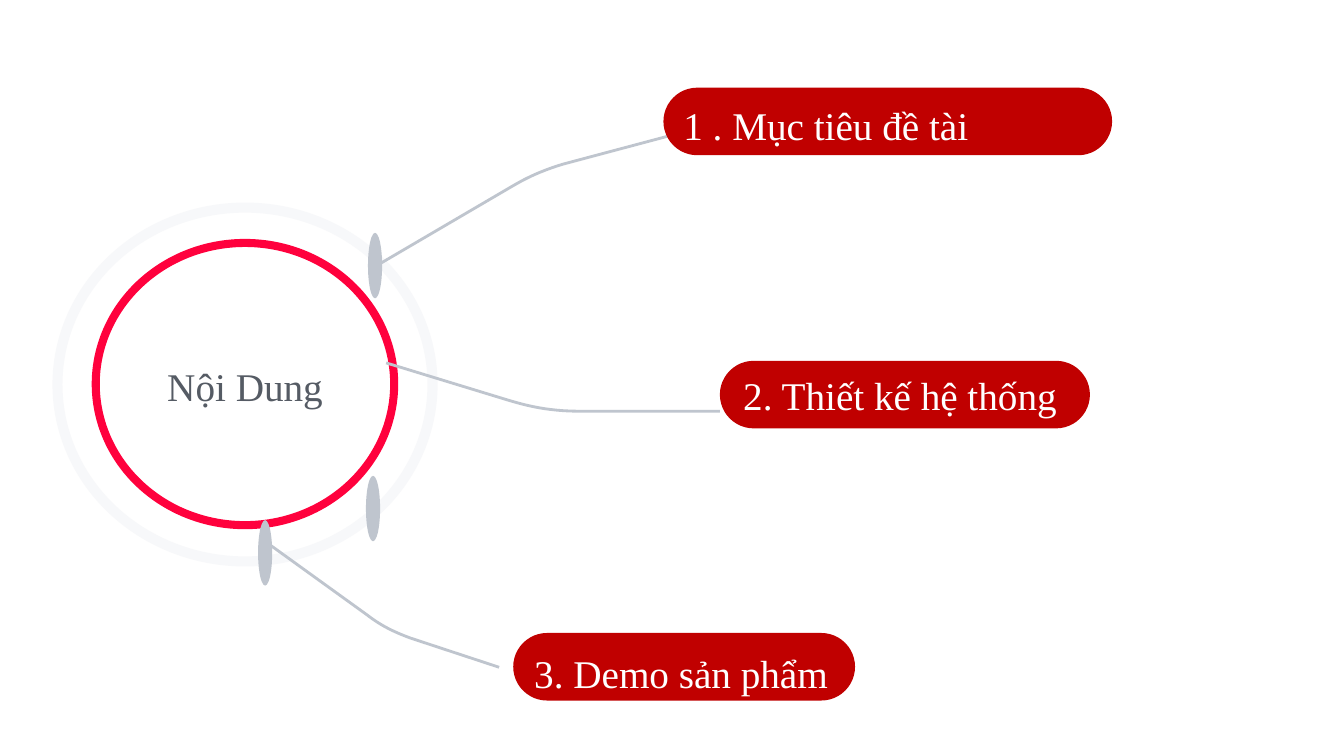
from dataclasses import dataclass
from typing import Optional

from lxml.etree import SubElement
from pptx import Presentation
from pptx.dml.color import RGBColor
from pptx.enum.shapes import MSO_SHAPE
from pptx.enum.text import MSO_ANCHOR, MSO_AUTO_SIZE, PP_ALIGN
from pptx.oxml.ns import qn
from pptx.util import Inches, Pt

FONT = "Times New Roman"
WHITE = RGBColor(0xFF, 0xFF, 0xFF)
RED = RGBColor(0xC0, 0x00, 0x00)
CRIMSON = RGBColor(0xFF, 0x01, 0x3D)
PALE = RGBColor(0xEF, 0xF0, 0xF4)
SILVER = RGBColor(0xBF, 0xC5, 0xCE)
SLATE = RGBColor(0x55, 0x5B, 0x64)

Point = tuple[float, float]
Frame = tuple[float, float, float, float]  # left, top, width, height
PILL_HEIGHT = 0.67
CURVE_STEPS = 12


@dataclass
class Ring:
    frame: Frame
    thickness: float
    color: RGBColor
    opacity: int = 100


@dataclass
class Branch:
    """A topic pill; its text sits in label_frame, or in the pill itself."""
    text: str
    left: float
    top: float
    width: float
    start: Point
    bend: tuple[Point, Point, Point, Point]  # cubic curve
    end: Point
    label_frame: Optional[Frame] = None


RINGS = [
    Ring((0.52, 2.01, 3.82, 3.61), 0.1, PALE, 45),
    Ring((0.91, 2.37, 3.04, 2.88), 0.08, CRIMSON),
]
BRANCHES = [
    Branch("1 . Mục tiêu đề tài", 6.58, 0.87, 4.45, (3.78, 2.61),
           ((5.06, 1.86), (5.18, 1.79), (5.32, 1.71), (5.58, 1.63)),
           (6.63, 1.35), (6.68, 0.96, 5.2, 0.57)),
    Branch("2. Thiết kế hệ thống ", 7.14, 3.58, 3.67, (3.83, 3.6),
           ((5.04, 3.97), (5.21, 4.02), (5.42, 4.08), (5.76, 4.08)),
           (7.14, 4.08)),
    Branch("3. Demo sản phẩm", 5.09, 6.28, 3.39, (2.6, 5.35),
           ((3.64, 6.1), (3.73, 6.17), (3.85, 6.25), (4.07, 6.33)),
           (4.95, 6.62), (5.2, 6.39, 3.88, 0.57)),
]
DOTS = [(3.63, 4.72), (3.65, 2.31), (2.56, 5.16)]


def write(shape, text: str, *, color: RGBColor = WHITE, size: int = 28,
          align=PP_ALIGN.LEFT, anchor=MSO_ANCHOR.TOP,
          inset: Optional[float] = None) -> None:
    frame = shape.text_frame
    frame.word_wrap = True
    frame.auto_size = MSO_AUTO_SIZE.NONE
    frame.vertical_anchor = anchor
    if inset is not None:
        frame.margin_left = frame.margin_right = Inches(inset)
        frame.margin_top = frame.margin_bottom = Inches(inset)
    para = frame.paragraphs[0]
    para.alignment = align
    span = para.add_run()
    span.text = text
    span.font.name = FONT
    span.font.size = Pt(size)
    span.font.color.rgb = color


def add_solid(page, kind, frame: Frame, color: RGBColor):
    shape = page.shapes.add_shape(kind, *map(Inches, frame))
    shape.shadow.inherit = False
    shape.fill.solid()
    shape.fill.fore_color.rgb = color
    shape.line.fill.background()
    return shape


def add_ring(page, ring: Ring) -> None:
    shape = add_solid(page, MSO_SHAPE.DONUT, ring.frame, ring.color)
    shape.adjustments[0] = ring.thickness / min(ring.frame[2:])
    if ring.opacity < 100:
        color = shape.fill._xPr.find(qn("a:solidFill"))[0]
        SubElement(color, qn("a:alpha"), val=str(ring.opacity * 1000))


def curve_point(bend: tuple[Point, ...], t: float) -> Point:
    weights = ((1 - t) ** 3, 3 * t * (1 - t) ** 2, 3 * t * t * (1 - t), t ** 3)
    x, y = (sum(w * p[axis] for w, p in zip(weights, bend)) for axis in (0, 1))
    return x, y


def add_branch_line(page, branch: Branch) -> None:
    curve = [curve_point(branch.bend, step / CURVE_STEPS)
             for step in range(CURVE_STEPS + 1)]
    points = [(Inches(x), Inches(y)) for x, y in curve + [branch.end]]
    builder = page.shapes.build_freeform(*map(Inches, branch.start))
    builder.add_line_segments(points, close=False)
    line = builder.convert_to_shape()
    line.shadow.inherit = False
    line.fill.background()
    line.line.color.rgb = SILVER
    line.line.width = Pt(2)


def add_pill(page, branch: Branch) -> None:
    frame = (branch.left, branch.top, branch.width, PILL_HEIGHT)
    pill = add_solid(page, MSO_SHAPE.ROUNDED_RECTANGLE, frame, RED)
    pill.adjustments[0] = 0.5
    if branch.label_frame:
        box = page.shapes.add_textbox(*map(Inches, branch.label_frame))
        write(box, branch.text)
    else:
        write(pill, branch.text, align=PP_ALIGN.CENTER,
              anchor=MSO_ANCHOR.MIDDLE, inset=0)


def main() -> None:
    deck = Presentation()
    deck.slide_width, deck.slide_height = Inches(13.33), Inches(7.5)
    page = deck.slides.add_slide(deck.slide_layouts[5])

    # Hub: two rings around the title
    for ring in RINGS:
        add_ring(page, ring)
    title = page.shapes.title
    title.left, title.top = Inches(1.03), Inches(3.56)
    title.width, title.height = Inches(2.8), Inches(0.53)
    write(title, "Nội Dung", color=SLATE, align=PP_ALIGN.CENTER,
          anchor=MSO_ANCHOR.MIDDLE, inset=0.03)

    # Branches, then the dots on the rings
    for branch in BRANCHES:
        add_branch_line(page, branch)
        add_pill(page, branch)
    for left, top in DOTS:
        add_solid(page, MSO_SHAPE.OVAL, (left, top, 0.14, 0.65), SILVER)

    deck.save("out.pptx")


if __name__ == "__main__":
    main()
